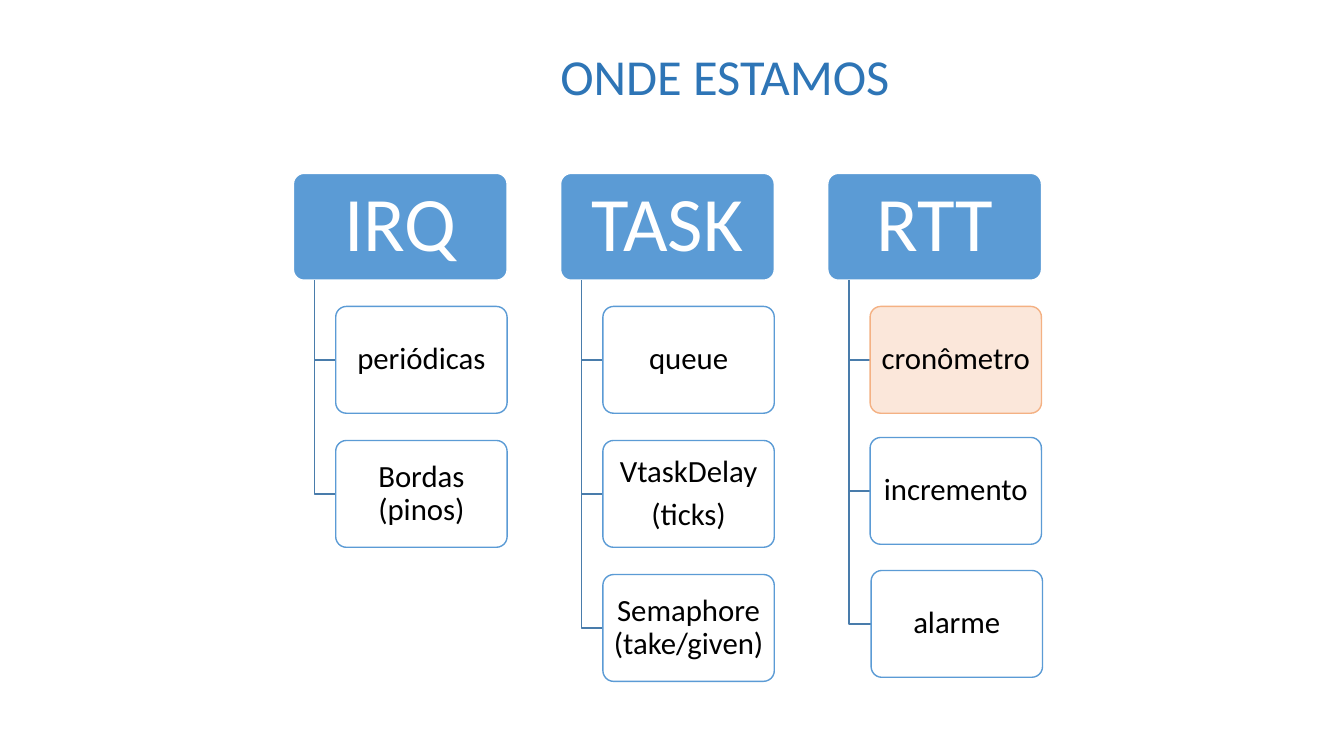
from dataclasses import dataclass

from lxml.etree import SubElement
from pptx import Presentation
from pptx.dml.color import RGBColor
from pptx.enum.shapes import MSO_SHAPE
from pptx.enum.text import MSO_ANCHOR, MSO_AUTO_SIZE, PP_ALIGN
from pptx.oxml.ns import qn
from pptx.util import Pt

# Content: heading, then (topic, highlighted, shift right, shift down)
TITLE = "ONDE ESTAMOS"
BRANCHES = [
    ("IRQ", [("periódicas", False, 0, 0),
             ("Bordas (pinos)", False, 0, 0)]),
    ("TASK", [("queue", False, 0, 0),
              ("VtaskDelay\n(ticks)", False, 0, 0),
              ("Semaphore (take/given)", False, 0, 0)]),
    ("RTT", [("cronômetro", True, 0, 0),
             ("incremento", False, 0, -3),
             ("alarme", False, 1, -4)]),
]


@dataclass(frozen=True)
class Theme:
    font: str = "Calibri"
    title: str = "2E75B6"
    accent: str = "5B9BD5"
    branch_line: str = "497CAB"
    paper: str = "FFFFFF"
    ink: str = "000000"
    highlight: str = "FBE5D6"
    highlight_line: str = "F4B183"
    title_size: int = 36
    heading_size: int = 55
    topic_size: int = 22
    topic_opacity: int = 90


THEME = Theme()

# Geometry in px, 100 to the inch
PX = 9144
SLIDE_WIDTH, SLIDE_HEIGHT = 1333, 750
TITLE_BOX = (168, 39, 1052, 71)
TITLE_MARGINS = (60, 5, 10, 5)
BRANCH_LEFT, BRANCH_PITCH = 291, 265
HEADING_TOP, HEADING_WIDTH, BOX_HEIGHT = 172, 212, 106
STEM_INDENT, TOPIC_INDENT = 21, 42
TOPIC_TOP, TOPIC_WIDTH, TOPIC_PITCH = 304, 170, 133
HEADING_MARGINS = (11, 8, 11, 8)
TOPIC_MARGINS = (5, 3, 5, 3)


def apply(target, values):
    for name, value in values.items():
        setattr(target, name, value)


def write(frame, words, size, color, margins, spacing):
    left, top, right, bottom = (margin * PX for margin in margins)
    frame.text = words
    apply(frame, dict(word_wrap=True, auto_size=MSO_AUTO_SIZE.NONE,
                      vertical_anchor=MSO_ANCHOR.MIDDLE,
                      margin_left=left, margin_top=top,
                      margin_right=right, margin_bottom=bottom))
    for paragraph in frame.paragraphs:
        apply(paragraph, dict(alignment=PP_ALIGN.CENTER, line_spacing=spacing,
                              space_after=Pt(7)))
        apply(paragraph.font, dict(name=THEME.font, size=Pt(size), bold=False))
        paragraph.font.color.rgb = RGBColor.from_string(color)


def outline(shape, color):
    shape.shadow.inherit = False
    shape.line.color.rgb = RGBColor.from_string(color)
    shape.line.width = Pt(1)


def add_box(shapes, bounds, fill, line, opacity=100):
    box = shapes.add_shape(MSO_SHAPE.ROUNDED_RECTANGLE,
                           *(length * PX for length in bounds))
    box.adjustments[0] = 0.1
    box.fill.solid()
    box.fill.fore_color.rgb = RGBColor.from_string(fill)
    outline(box, line)
    if opacity < 100:
        tint = box._element.spPr.find(qn("a:solidFill"))[0]
        SubElement(tint, qn("a:alpha"), val=str(opacity * 1000))
    return box


def add_branch_line(shapes, stem, topic_left, topic_middle):
    start = HEADING_TOP + BOX_HEIGHT
    builder = shapes.build_freeform(stem, start, scale=PX)
    builder.add_line_segments([(stem, topic_middle), (topic_left, topic_middle)],
                              close=False)
    elbow = builder.convert_to_shape()
    elbow.fill.background()
    outline(elbow, THEME.branch_line)


def add_branch(shapes, left, heading, topics):
    heading_box = add_box(shapes, (left, HEADING_TOP, HEADING_WIDTH, BOX_HEIGHT),
                          THEME.accent, THEME.paper)
    write(heading_box.text_frame, heading, THEME.heading_size, THEME.paper,
          HEADING_MARGINS, 0.9)
    for row, (topic, highlighted, shift_x, shift_y) in enumerate(topics):
        topic_left = left + TOPIC_INDENT + shift_x
        topic_top = TOPIC_TOP + row * TOPIC_PITCH + shift_y
        add_branch_line(shapes, left + STEM_INDENT, topic_left,
                        topic_top + BOX_HEIGHT // 2)
        fill, line = ((THEME.highlight, THEME.highlight_line) if highlighted
                      else (THEME.paper, THEME.accent))
        topic_box = add_box(shapes, (topic_left, topic_top, TOPIC_WIDTH, BOX_HEIGHT),
                            fill, line, THEME.topic_opacity)
        write(topic_box.text_frame, topic, THEME.topic_size, THEME.ink,
              TOPIC_MARGINS, 0.9)


def main():
    deck = Presentation()
    apply(deck, dict(slide_width=SLIDE_WIDTH * PX, slide_height=SLIDE_HEIGHT * PX))
    slide = deck.slides.add_slide(deck.slide_layouts.get_by_name("Title Only"))

    # Title
    title = slide.shapes.title
    bounds = (length * PX for length in TITLE_BOX)
    apply(title, dict(zip(("left", "top", "width", "height"), bounds)))
    write(title.text_frame, TITLE, THEME.title_size, THEME.title, TITLE_MARGINS, 1.0)

    # Branches
    for column, (heading, topics) in enumerate(BRANCHES):
        add_branch(slide.shapes, BRANCH_LEFT + column * BRANCH_PITCH, heading, topics)

    deck.save("out.pptx")


if __name__ == "__main__":
    main()
